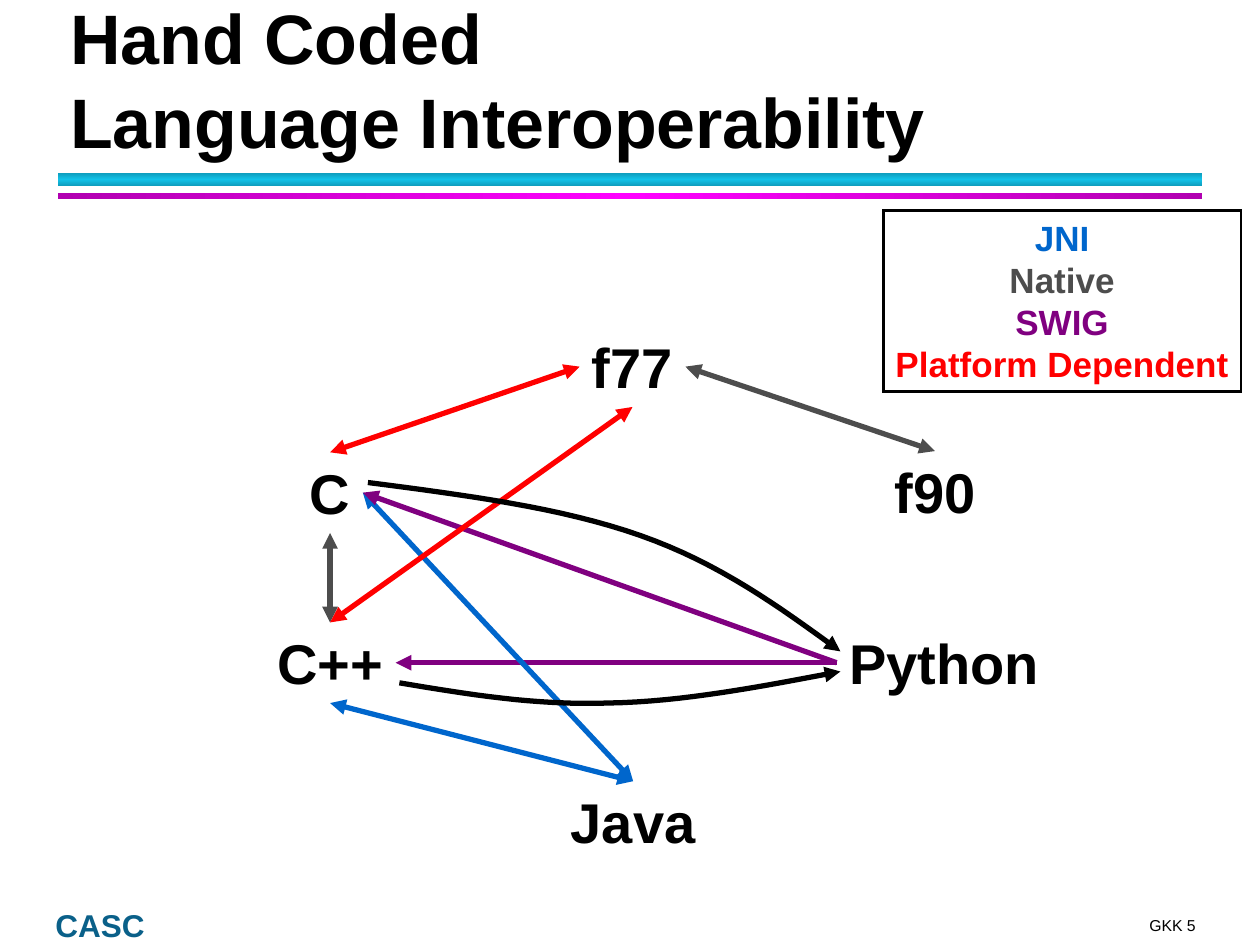
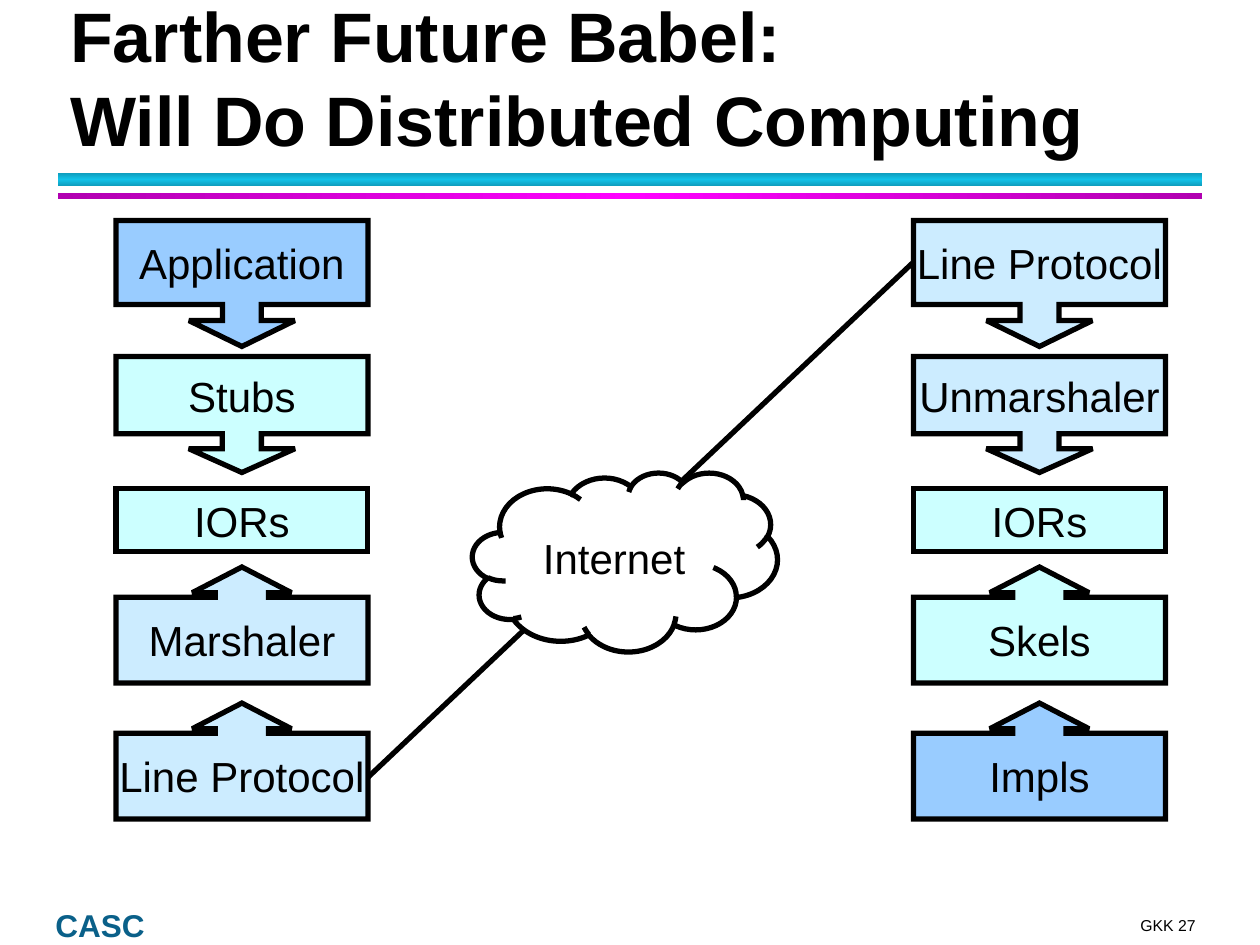
import copy

import pptx
import pptx.dml.color
import pptx.enum.shapes
import pptx.enum.text
import pptx.oxml
import pptx.oxml.ns
import pptx.util

ALIGN = pptx.enum.text.PP_ALIGN
ANCHOR = pptx.enum.text.MSO_ANCHOR
PRESET = pptx.enum.shapes.MSO_SHAPE
STRAIGHT = pptx.enum.shapes.MSO_CONNECTOR.STRAIGHT

EMU_PER_PX = 9144  # 100 px to the inch
SLIDE_SIZE = (1000, 750)

BLACK, WHITE = "000000", "FFFFFF"
BLUE, GRAY, PURPLE, RED = "0066CC", "4D4D4D", "800080", "FF0000"
SKY, PALE_BLUE, PALE_CYAN = "99CCFF", "CCECFF", "CCFFFF"
FOOTER_TEAL = "0A6089"

# Text formats
TITLE = {"size": 40, "bold": True}
LANGUAGE = {"size": 32, "bold": True}
LEGEND = {"size": 20, "bold": True}
BOX_LABEL = {"size": 24}
FOOTER_NAME = {"size": 18, "bold": True}
FOOTER_PAGE = {"size": 9}

# Shared bands: box, edge colour, middle colour, angle
BANDS = [
    ((46, 137, 908, 11), "0E9AB9", "12C2E9", 90),
    ((46, 153, 908, 5), "B100B1", "FF00FF", 0),
]

# Language slide
LEGEND_ROWS = [("JNI", BLUE), ("Native", GRAY), ("SWIG", PURPLE),
               ("Platform Dependent", RED)]
LANGUAGES = {  # left, top, width
    "C": (236, 359, 52),
    "C++": (210, 494, 104),
    "f77": (460, 259, 84),
    "f90": (700, 358, 84),
    "Python": (664, 494, 171),
    "Java": (443, 620, 119),
}
LANGUAGE_HEIGHT = 64
# From (language, side), to (language, side), colour, arrow at both ends
BINDINGS = [
    ("C++", "top", "C", "bottom", GRAY, True),
    ("C++", "bottom", "Java", "top", BLUE, True),
    ("Python", "left", "C++", "right", PURPLE, False),
    ("C", "top", "f77", "left", RED, True),
    ("f90", "top", "f77", "right", GRAY, True),
    ("Java", "top", "C", "right", BLUE, True),
    ("Python", "left", "C", "right", PURPLE, False),
    ("C++", "top", "f77", "bottom", RED, True),
]
# Bezier pieces: start, two controls, end
CURVES_TO_PYTHON = [
    [((317, 542), (371, 551), (425, 560), (483, 558)),
     ((483, 558), (542, 557), (604, 545), (667, 533))],
    [((292, 383), (369, 393), (446, 403), (508, 425)),
     ((508, 425), (571, 447), (619, 482), (667, 517))],
]
CURVE_STEPS = 16

# Distributed computing slide: top, height, preset, adjustments
UP_ADJUSTMENTS = (0.458, 0.428, 0.222, 0.739)
LAYERS = [
    (175, 100, PRESET.DOWN_ARROW_CALLOUT, (0.309, 0.42, 0.205, 0.667)),
    (283, 92, PRESET.DOWN_ARROW_CALLOUT, (0.337, 0.458, 0.205, 0.667)),
    (388, 50, PRESET.RECTANGLE, ()),
    (450, 92, PRESET.UP_ARROW_CALLOUT, UP_ADJUSTMENTS),
    (558, 92, PRESET.UP_ARROW_CALLOUT, UP_ADJUSTMENTS),
]
STACKS = {  # left edge: labels and fills from top to bottom
    92: [("Application", SKY), ("Stubs", PALE_CYAN), ("IORs", PALE_CYAN),
         ("Marshaler", PALE_BLUE), ("Line Protocol", PALE_BLUE)],
    725: [("Line Protocol", PALE_BLUE), ("Unmarshaler", PALE_BLUE),
          ("IORs", PALE_CYAN), ("Skels", PALE_CYAN), ("Impls", SKY)],
}
STACK_WIDTH = 200
NETWORK_LINE = ((292, 617), (725, 208))
CLOUD_BOX = (375, 375, 242, 142)


def emu(*lengths):
    return [round(length * EMU_PER_PX) for length in lengths]


def color(value):
    return pptx.dml.color.RGBColor.from_string(value)


def write(shape, rows, style, align=ALIGN.LEFT, anchor=ANCHOR.TOP,
          wrap=False, inset=True):
    """Fill a shape with (text, colour) rows, one paragraph each."""
    frame = shape.text_frame
    frame.word_wrap = wrap
    frame.vertical_anchor = anchor
    if not inset:
        for side in ("left", "right", "top", "bottom"):
            setattr(frame, "margin_" + side, 0)
    for index, (text, text_color) in enumerate(rows):
        paragraph = frame.add_paragraph() if index else frame.paragraphs[0]
        paragraph.text = text
        paragraph.alignment = align
        for run in paragraph.runs:
            run.font.name = "Arial"
            run.font.color.rgb = color(text_color)
            for name, value in style.items():
                setattr(run.font, name, pptx.util.Pt(value) if name == "size" else value)


def add_text(slide, box, text, style, text_color=BLACK, **layout):
    shape = slide.shapes.add_textbox(*emu(*box))
    write(shape, [(text, text_color)], style, **layout)
    return shape


def add_box(slide, preset, box, fill=None, line_width=3, adjustments=()):
    shape = slide.shapes.add_shape(preset, *emu(*box))
    shape.shadow.inherit = False
    for index, value in enumerate(adjustments):
        shape.adjustments[index] = value
    if fill:
        shape.fill.solid()
        shape.fill.fore_color.rgb = color(fill)
    else:
        shape.fill.background()
    stroke(shape, BLACK, line_width)
    return shape


def stroke(shape, line_color, width=3, heads=()):
    """Set a mitred line with triangles at the given ends."""
    shape.line.color.rgb = color(line_color)
    shape.line.width = pptx.util.Pt(width)
    line = shape.element.spPr.find(pptx.oxml.ns.qn("a:ln"))
    parts = ['a:miter lim="800000"']
    parts += [f'a:{head} type="triangle"' for head in heads]
    for part in parts:
        line.append(pptx.oxml.parse_xml(f'<{part} {pptx.oxml.ns.nsdecls("a")}/>'))


def add_line(slide, start, end, line_color=BLACK, heads=()):
    connector = slide.shapes.add_connector(STRAIGHT, *emu(*start, *end))
    connector.element.spPr.append(
        pptx.oxml.parse_xml(f'<a:effectLst {pptx.oxml.ns.nsdecls("a")}/>'))
    # The line element is placed ahead of the effect list by the line format
    stroke(connector, line_color, heads=heads)


def add_band(slide, box, edge, middle, angle):
    band = add_box(slide, PRESET.RECTANGLE, box)
    band.line.fill.background()
    band.fill.gradient()
    band.fill.gradient_angle = angle
    stops = band.element.spPr.find(".//" + pptx.oxml.ns.qn("a:gsLst"))
    stops.insert(1, copy.deepcopy(stops[0]))
    for stop, position, value in zip(band.fill.gradient_stops, (0, 0.5, 1),
                                     (edge, middle, edge)):
        stop.position = position
        stop.color.rgb = color(value)


def add_page(presentation, title, title_height, number):
    """Start a slide with the shared title, bands and footers."""
    slide = presentation.slides.add_slide(presentation.slide_layouts[6])
    add_text(slide, (876, 727, 73, 15), f"GKK {number}", FOOTER_PAGE,
             align=ALIGN.RIGHT, anchor=ANCHOR.BOTTOM, inset=False)
    name = add_text(slide, (44, 721, 77, 28), "CASC", FOOTER_NAME, FOOTER_TEAL,
                    anchor=ANCHOR.BOTTOM, inset=False)
    name.text_frame.paragraphs[0].line_spacing = pptx.util.Pt(20)
    for band in BANDS:
        add_band(slide, *band)
    add_text(slide, (46, 33, 906, title_height), title, TITLE,
             anchor=ANCHOR.BOTTOM, wrap=True)
    return slide


def side_point(language, side):
    left, top, width = LANGUAGES[language]
    x, y = left + width / 2, top + LANGUAGE_HEIGHT / 2
    return {"top": (x, top), "bottom": (x, top + LANGUAGE_HEIGHT),
            "left": (left, y), "right": (left + width, y)}[side]


def bezier_point(piece, t):
    weights = ((1 - t) ** 3, 3 * t * (1 - t) ** 2, 3 * t ** 2 * (1 - t), t ** 3)
    return tuple(sum(weight * point[axis] for weight, point in zip(weights, piece))
                 for axis in (0, 1))


def add_curve(slide, pieces):
    points = [emu(*bezier_point(piece, step / CURVE_STEPS))
              for piece in pieces for step in range(1, CURVE_STEPS + 1)]
    builder = slide.shapes.build_freeform(*emu(*pieces[0][0]))
    builder.add_line_segments(points, close=False)
    curve = builder.convert_to_shape()
    curve.shadow.inherit = False
    curve.fill.background()
    stroke(curve, BLACK, heads=["tailEnd"])


def build_languages(presentation):
    slide = add_page(presentation, "Hand Coded\vLanguage Interoperability", 101, 5)
    legend = add_box(slide, PRESET.RECTANGLE, (701, 167, 284, 144), line_width=1.5)
    write(legend, LEGEND_ROWS, LEGEND, align=ALIGN.CENTER)
    for language, (left, top, width) in LANGUAGES.items():
        add_text(slide, (left, top, width, LANGUAGE_HEIGHT), language, LANGUAGE,
                 align=ALIGN.CENTER)
    for source, source_side, target, target_side, line_color, both in BINDINGS:
        add_line(slide, side_point(source, source_side),
                 side_point(target, target_side), line_color,
                 ["headEnd", "tailEnd"] if both else ["tailEnd"])
    for pieces in CURVES_TO_PYTHON:
        add_curve(slide, pieces)


def build_distributed(presentation):
    slide = add_page(presentation,
                     "Farther Future Babel:\vWill Do Distributed Computing", 99, 27)
    centered = {"align": ALIGN.CENTER, "anchor": ANCHOR.MIDDLE}
    add_line(slide, *NETWORK_LINE)
    cloud = add_box(slide, PRESET.CLOUD, CLOUD_BOX, WHITE)
    write(cloud, [("Internet", BLACK)], BOX_LABEL, **centered)
    for left, stack in STACKS.items():
        for (label, fill), (top, height, preset, adjustments) in zip(stack, LAYERS):
            box = add_box(slide, preset, (left, top, STACK_WIDTH, height), fill,
                          adjustments=adjustments)
            write(box, [(label, BLACK)], BOX_LABEL, **centered)


def main():
    presentation = pptx.Presentation()
    presentation.slide_width, presentation.slide_height = emu(*SLIDE_SIZE)
    build_languages(presentation)
    build_distributed(presentation)
    presentation.save("out.pptx")


if __name__ == "__main__":
    main()
